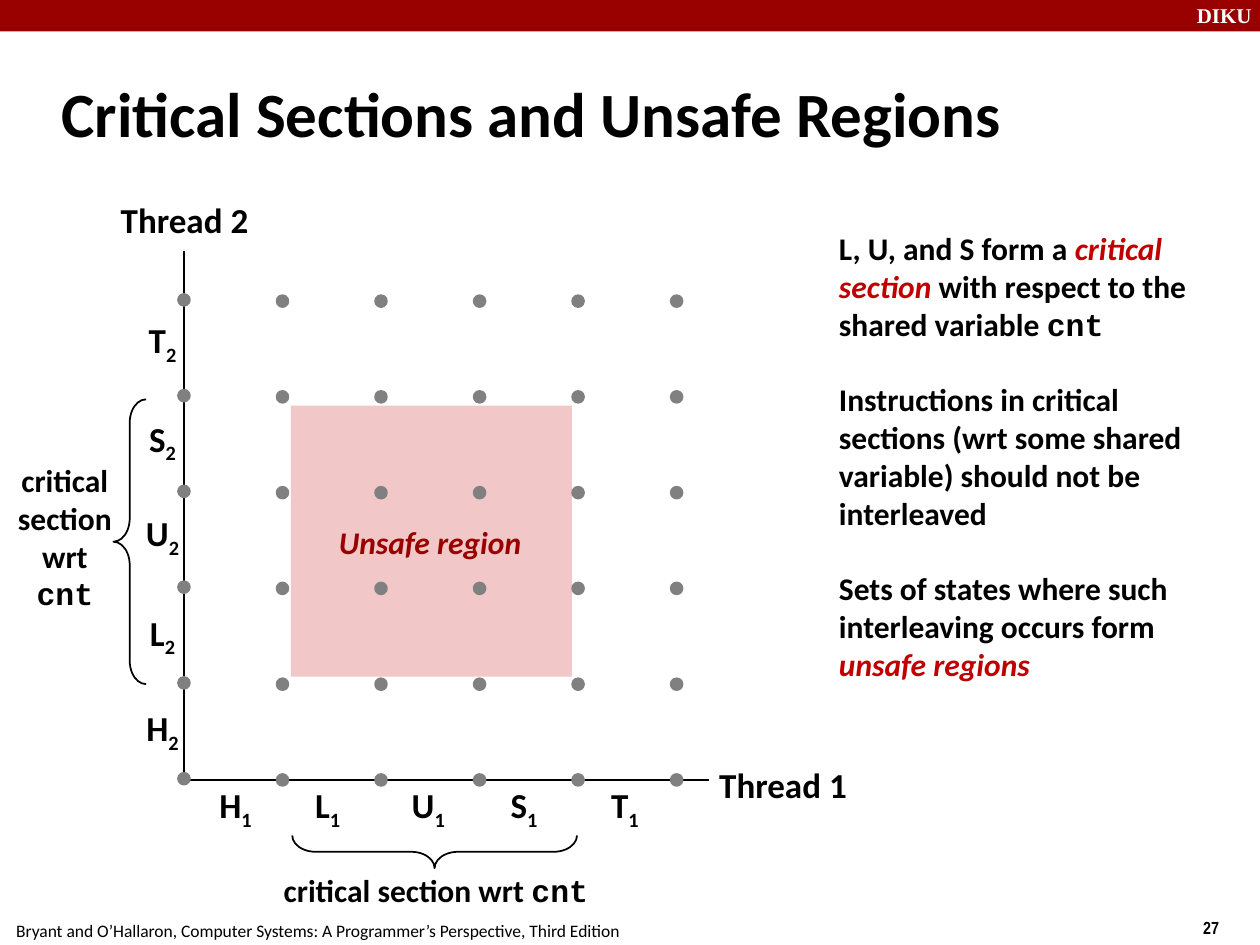
import pptx
import pptx.util
import pptx.dml.color
import pptx.enum.shapes
import pptx.enum.text
import pptx.oxml.ns
import lxml.etree

Inches = pptx.util.Inches
SHAPES = pptx.enum.shapes.MSO_SHAPE
ANCHORS = pptx.enum.text.MSO_ANCHOR
ALIGN = pptx.enum.text.PP_ALIGN


def color(hex_value):
    return pptx.dml.color.RGBColor.from_string(hex_value)


def add_text(at, paragraphs, size, wrap=False, align=ALIGN.LEFT,
             anchor=ANCHORS.MIDDLE, gap=0, margin=0.05, **common):
    """Each paragraph is a list of (text, format values) runs."""
    frame = slide.shapes.add_textbox(*map(Inches, at)).text_frame
    frame_format = {"word_wrap": wrap, "vertical_anchor": anchor,
                    "margin_top": Inches(margin), "margin_bottom": Inches(margin)}
    for name, value in frame_format.items():
        setattr(frame, name, value)
    for number, runs in enumerate(paragraphs):
        paragraph = frame.add_paragraph() if number else frame.paragraphs[0]
        paragraph.alignment = align
        if number:
            paragraph.space_before = pptx.util.Pt(gap)
        for text, changes in runs:
            run = paragraph.add_run()
            run.text = text
            values = {"name": "Calibri", "bold": True, "color": "000000",
                      **common, **changes}
            run.font.size = pptx.util.Pt(size)
            run.font.color.rgb = color(values.pop("color"))
            baseline = values.pop("baseline", None)
            for name, value in values.items():
                setattr(run.font, name, value)
            if baseline:
                run.font._element.set("baseline", str(baseline))


presentation = pptx.Presentation()
presentation.slide_width = Inches(10)
presentation.slide_height = Inches(7.5)
slide = presentation.slides.add_slide(presentation.slide_layouts[6])

# Header band and unsafe region
for at, fill in [((0, 0, 10, 0.25), "990000"), ((2.31, 3.22, 2.23, 2.15), "F1C7C7")]:
    area = slide.shapes.add_shape(SHAPES.RECTANGLE, *map(Inches, at))
    area.shadow.inherit = False
    area.fill.solid()
    area.fill.fore_color.rgb = color(fill)
    area.line.fill.background()

# Header, footer and title
add_text((9.4, -0.03, 0.67, 0.3), [[("DIKU", {})]], 12, wrap=True,
         anchor=ANCHORS.TOP, name="Times New Roman", color="FFFFFF")
add_text((9.45, 7.23, 0.75, 0.29), [[("27", {})]], 10,
         anchor=ANCHORS.TOP, name="Arial Narrow")
add_text((0.03, 7.25, 4.99, 0.26),
         [[("Bryant and O’Hallaron, Computer Systems: "
            "A Programmer’s Perspective, Third Edition", {})]],
         10, anchor=ANCHORS.TOP, bold=False)
add_text((0.39, 0.48, 8.3, 0.83), [[("Critical Sections and Unsafe Regions", {})]],
         36, wrap=True)

# Explanation
term = {"color": "C00000", "italic": True}
code = {"name": "Courier New"}
explanation = [
    [("L, U, and S form a ", {}), ("critical section ", term),
     ("with respect to the shared variable ", {}), ("cnt", code)],
    [("Instructions in critical sections (wrt some shared variable) "
      "should not be interleaved", {})],
    [("Sets of states where such interleaving occurs form ", {}),
     ("unsafe regions", term)],
]
add_text((6.56, 1.82, 3.19, 3.9), explanation, 18, wrap=True,
         anchor=ANCHORS.TOP, gap=21.6, margin=0)

# Axes
for end_x, end_y in [(5.63, 6.19), (1.46, 1.99)]:
    axis = slide.shapes.add_connector(
        pptx.enum.shapes.MSO_CONNECTOR.STRAIGHT,
        *map(Inches, (1.46, 6.19, end_x, end_y)))
    axis.line.color.rgb = color("000000")
    axis.line.width = pptx.util.Pt(1)
    lxml.etree.SubElement(axis._element.spPr, pptx.oxml.ns.qn("a:effectLst"))

# Instruction labels along both axes, with room to stay on one line
thread1_lefts = [1.57, 2.3, 3.1, 3.86, 4.66]
thread2_tops = [5.56, 4.8, 4.01, 3.26, 2.48]
for step, left, top in zip("HLUST", thread1_lefts, thread2_tops):
    for thread, x, y in [("1", left, 6.17), ("2", 0.99, top)]:
        add_text((x, y, 0.6, 0.48), [[(step, {}), (thread, {"baseline": -25000})]],
                 20, align=ALIGN.CENTER)

for thread, x, y in [("Thread 1", 5.51, 6.01), ("Thread 2", 0.76, 1.53)]:
    add_text((x, y, 1.41, 0.43), [[(thread, {})]], 20, align=ALIGN.CENTER)

# Grid of states; the column on the axis sits slightly higher
column_step = (5.33 - 1.42) / 5
for column in range(6):
    bottom = 6.15 if column else 6.14
    for row in range(6):
        state = slide.shapes.add_shape(
            SHAPES.OVAL, Inches(1.42 + column * column_step),
            Inches(bottom - row * 0.76), Inches(0.08), Inches(0.08))
        state.shadow.inherit = False
        state.fill.solid()
        state.fill.fore_color.rgb = color("808080")
        state.line.color.rgb = color("808080")
        state.line.width = pptx.util.Pt(2)

# Critical section braces
for x, y, rotation in [(0.9, 3.17, 0), (3.32, 5.63, 270)]:
    brace = slide.shapes.add_shape(
        SHAPES.LEFT_BRACE, *map(Inches, (x, y, 0.26, 2.26)))
    brace.shadow.inherit = False
    brace.rotation = rotation
    brace.adjustments[0] = 0.715
    brace.adjustments[1] = 0.5
    brace.fill.background()
    brace.line.color.rgb = color("000000")
    brace.line.width = pptx.util.Pt(1)

# Critical section captions
caption = [[("critical section wrt ", {}), ("cnt", code)]]
for at, wrap in [((2.06, 6.86, 2.8, 0.4), False), ((0, 3.61, 1.03, 1.3), True)]:
    add_text(at, caption, 18, wrap=wrap, align=ALIGN.CENTER)

add_text((2.59, 4.1, 1.75, 0.4), [[("Unsafe region", {})]], 18,
         anchor=ANCHORS.TOP, color="990000", italic=True)

presentation.save("out.pptx")
